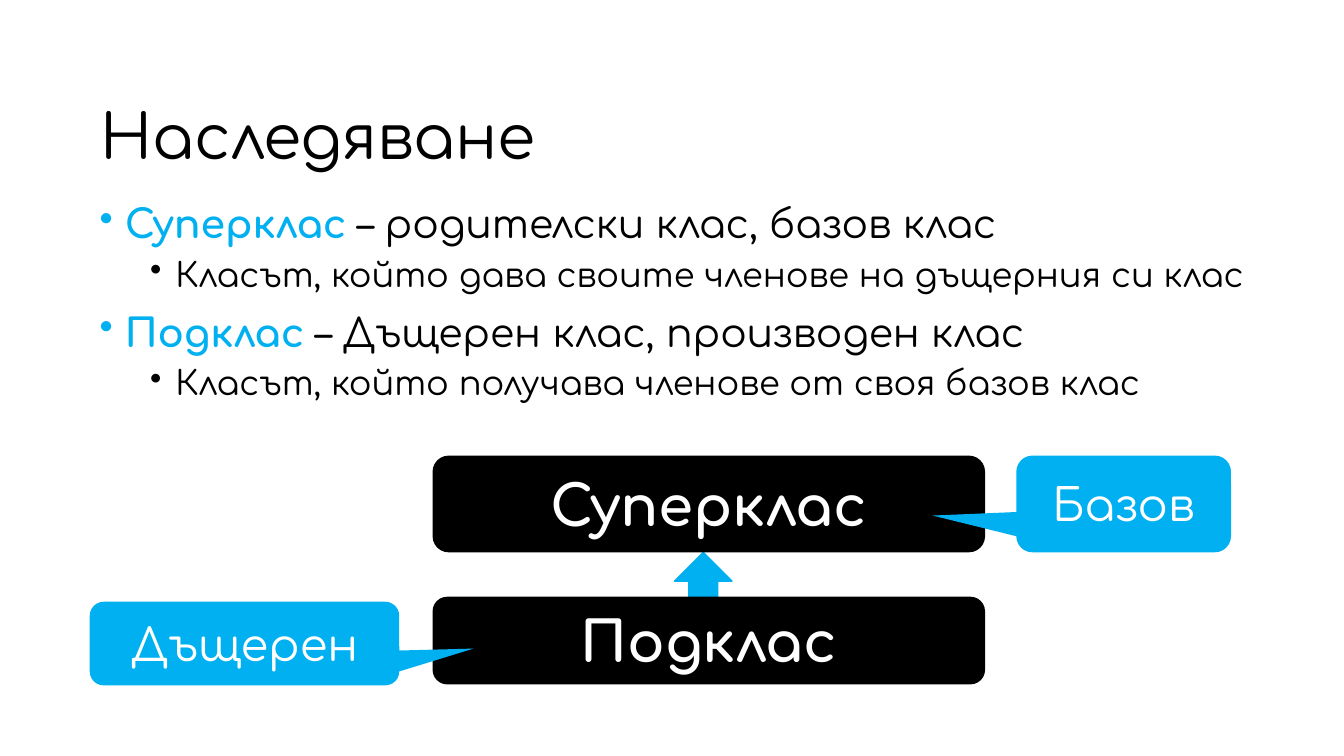
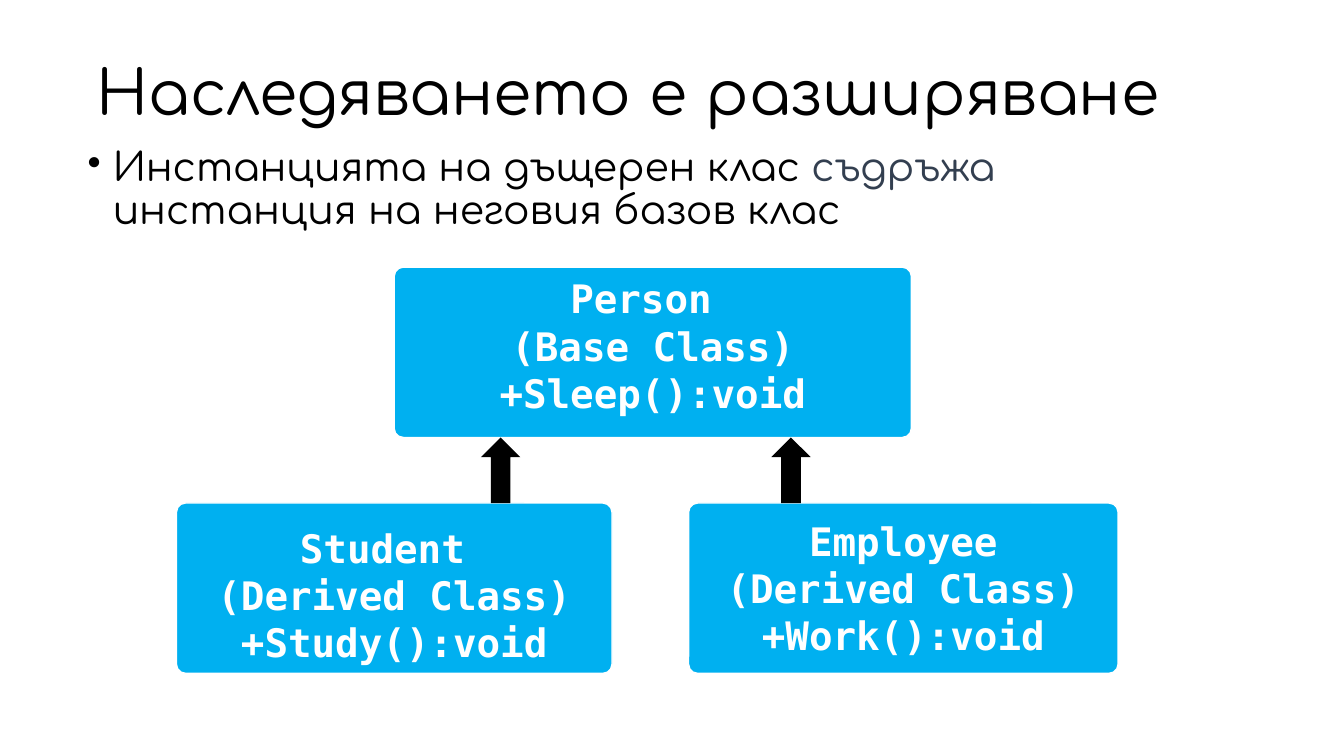
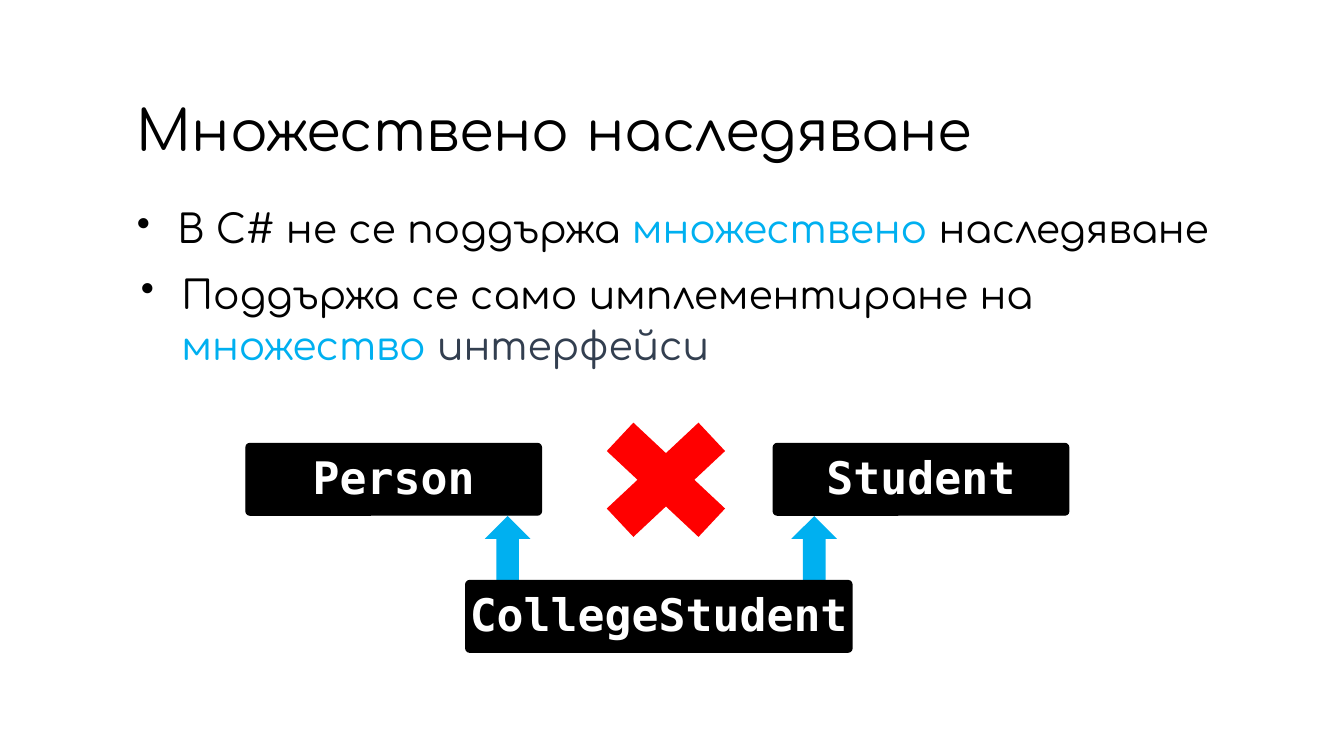
"""Build three slides on class inheritance with diagrams."""
from dataclasses import dataclass
from typing import NamedTuple, Optional

import pptx
import pptx.dml.color
import pptx.enum.shapes
import pptx.enum.text
import pptx.oxml.ns
import pptx.util
from lxml import etree

PX = 9144
COLORS = {
    "white": "FFFFFF",
    "black": "000000",
    "blue": "00B0F0",
    "slate": "333F50",
    "red": "FF0000",
}
TEXT_FONT = "Comfortaa"
CODE_FONT = "DejaVu Sans Mono"
SHAPES = pptx.enum.shapes.MSO_SHAPE
ANCHORS = pptx.enum.text.MSO_ANCHOR
CENTER = pptx.enum.text.PP_ALIGN.CENTER
CLASS_CORNER = (0.054,)


class Area(NamedTuple):
    left: int
    top: int
    width: int
    height: int


class Span(NamedTuple):
    text: str
    color: str = "black"
    bold: bool = False


@dataclass(frozen=True)
class Bullet:
    spans: tuple[Span, ...]
    level: int = 0
    size: int = 28
    margin: int = 25
    hanging: int = 25
    before: int = 10
    spacing: float = 1.0


@dataclass(frozen=True)
class Label:
    paragraphs: tuple[str, ...]
    size: int
    font: str = CODE_FONT
    bold: bool = True
    anchor: ANCHORS = ANCHORS.MIDDLE
    wrap: bool = True


@dataclass(frozen=True)
class Block:
    kind: SHAPES
    area: Area
    fill: str
    line: Optional[str] = None
    adjustments: tuple[float, ...] = ()
    label: Optional[Label] = None


@dataclass(frozen=True)
class Page:
    title: str
    title_area: Area
    body_area: Area
    bullets: tuple[Bullet, ...]
    blocks: tuple[Block, ...]
    title_size: int = 44
    title_spacing: float | pptx.util.Pt = 0.9


def rgb(name: str) -> pptx.dml.color.RGBColor:
    return pptx.dml.color.RGBColor.from_string(COLORS[name])


def emu(area: Area) -> list[int]:
    return [length * PX for length in area]


def style_run(run, font: str, size: int, color: str, bold: bool = False) -> None:
    run.font.name = font
    run.font.size = pptx.util.Pt(size)
    run.font.bold = bold
    run.font.color.rgb = rgb(color)


def add_title(slide, page: Page) -> None:
    box = slide.shapes.add_textbox(*emu(page.title_area))
    frame = box.text_frame
    frame.word_wrap = True
    frame.vertical_anchor = ANCHORS.MIDDLE
    frame.text = page.title
    para = frame.paragraphs[0]
    para.line_spacing = page.title_spacing
    style_run(para.runs[0], TEXT_FONT, page.title_size, "black")


def add_body(slide, page: Page) -> None:
    frame = slide.shapes.add_textbox(*emu(page.body_area)).text_frame
    frame.word_wrap = True
    for index, bullet in enumerate(page.bullets):
        para = frame.add_paragraph() if index else frame.paragraphs[0]
        para.level = bullet.level
        para.line_spacing = bullet.spacing
        para.space_before = pptx.util.Pt(bullet.before if index else 0)
        properties = para._p.get_or_add_pPr()
        properties.set("marL", str(bullet.margin * PX))
        properties.set("indent", str(-bullet.hanging * PX))
        mark = etree.SubElement(properties, pptx.oxml.ns.qn("a:buChar"))
        mark.set("char", "•")
        for span in bullet.spans:
            run = para.add_run()
            run.text = span.text
            style_run(run, TEXT_FONT, bullet.size, span.color, span.bold)


def add_label(shape, label: Label) -> None:
    frame = shape.text_frame
    frame.word_wrap = label.wrap
    frame.vertical_anchor = label.anchor
    frame.text = "\n".join(label.paragraphs)
    for para in frame.paragraphs:
        para.alignment = CENTER
        for run in para.runs:
            style_run(run, label.font, label.size, "white", label.bold)


def add_block(slide, block: Block) -> None:
    shape = slide.shapes.add_shape(block.kind, *emu(block.area))
    shape.shadow.inherit = False
    shape.fill.solid()
    shape.fill.fore_color.rgb = rgb(block.fill)
    if block.line:
        shape.line.color.rgb = rgb(block.line)
        shape.line.width = pptx.util.Pt(1)
    else:
        shape.line.fill.background()
    for index, value in enumerate(block.adjustments):
        shape.adjustments[index] = value
    if block.label:
        add_label(shape, block.label)


def role_box(text: str, top: int, height: int) -> Block:
    label = Label((text,), 40, TEXT_FONT, wrap=False)
    return Block(SHAPES.ROUNDED_RECTANGLE, Area(429, top, 548, height), "black", label=label)


def callout(text: str, area: Area, tip: tuple[float, float]) -> Block:
    label = Label((text,), 32, TEXT_FONT, bold=False)
    return Block(SHAPES.ROUNDED_RECTANGULAR_CALLOUT, area, "blue",
                 adjustments=(*tip, 0.167), label=label)


def class_card(paragraphs: tuple[str, ...], left: int, top: int, width: int,
               anchor: ANCHORS) -> Block:
    return Block(SHAPES.ROUNDED_RECTANGLE, Area(left, top, width, 169), "blue", "white",
                 CLASS_CORNER, Label(paragraphs, 28, anchor=anchor))


def class_name(text: str, left: int, top: int, width: int) -> Block:
    label = Label((text,), 32, anchor=ANCHORS.TOP, wrap=False)
    return Block(SHAPES.ROUNDED_RECTANGLE, Area(left, top, width, 71), "black", "black",
                 CLASS_CORNER, label)


def up_arrow(area: Area, fill: str, line: Optional[str] = None) -> Block:
    return Block(SHAPES.UP_ARROW, area, fill, line)


def definition(term: str, meaning: str, detail: str) -> tuple[Bullet, Bullet]:
    return (
        Bullet((Span(term, "blue", True), Span(meaning))),
        Bullet((Span(detail),), level=1, size=24, margin=75, before=5),
    )


PAGES = (
    Page(
        "Наследяване",
        Area(90, 66, 1150, 145),
        Area(89, 193, 1197, 219),
        (
            *definition("Суперклас ", "– родителски клас, базов клас",
                        "Класът, който дава своите членове на дъщерния си клас"),
            *definition("Подклас ", "– Дъщерен клас, производен клас",
                        "Класът, който получава членове от своя базов клас"),
        ),
        (
            up_arrow(Area(669, 548, 57, 61), "blue", "blue"),
            role_box("Суперклас", 452, 96),
            role_box("Подклас", 592, 87),
            callout("Дъщерен", Area(89, 597, 307, 83), (0.74, 0.06)),
            callout("Базов", Area(1008, 452, 213, 96), (-0.89, 0.12)),
        ),
    ),
    Page(
        "Наследяването е разширяване",
        Area(86, 42, 1150, 106),
        Area(77, 142, 1159, 107),
        (
            Bullet((Span("Инстанцията на дъщерен клас "), Span("съдръжа ", "slate"),
                    Span("инстанция на неговия базов клас")), spacing=0.9),
        ),
        (
            class_card(("Employee\v(Derived Class)", "+Work():void"),
                       683, 499, 426, ANCHORS.MIDDLE),
            class_card(("Student ", "(Derived Class)\v+Study():void"),
                       175, 499, 432, ANCHORS.BOTTOM),
            class_card(("Person \v(Base Class)", "+Sleep():void"),
                       391, 265, 513, ANCHORS.TOP),
            *(up_arrow(Area(left, 434, 39, 65), "black") for left in (477, 765)),
        ),
    ),
    Page(
        "Множествено наследяване",
        Area(126, 84, 1115, 99),
        Area(126, 193, 1115, 182),
        (
            Bullet((Span("В C# не се поддържа "), Span("множествено ", "blue"),
                    Span("наследяване")), margin=40, hanging=40, spacing=1.1),
            Bullet((Span("Поддържа се само имплементиране на "), Span("множество", "blue"),
                    Span(" интерфейси", "slate")), margin=44, hanging=40, spacing=1.1),
        ),
        (
            class_name("Person", 244, 440, 293),
            class_name("Student", 767, 440, 293),
            Block(SHAPES.MATH_MULTIPLY, Area(573, 394, 175, 164), "red"),
            *(up_arrow(Area(left, 512, 45, 65), "blue") for left in (481, 785)),
            class_name("CollegeStudent", 462, 576, 383),
        ),
        title_size=40,
        title_spacing=pptx.util.Pt(40),
    ),
)


def main() -> None:
    deck = pptx.Presentation()
    deck.slide_width = 1333 * PX
    deck.slide_height = 750 * PX
    for page in PAGES:
        slide = deck.slides.add_slide(deck.slide_layouts[6])
        slide.background.fill.solid()
        slide.background.fill.fore_color.rgb = rgb("white")
        add_title(slide, page)
        add_body(slide, page)
        for block in page.blocks:
            add_block(slide, block)
    deck.save("out.pptx")


if __name__ == "__main__":
    main()
